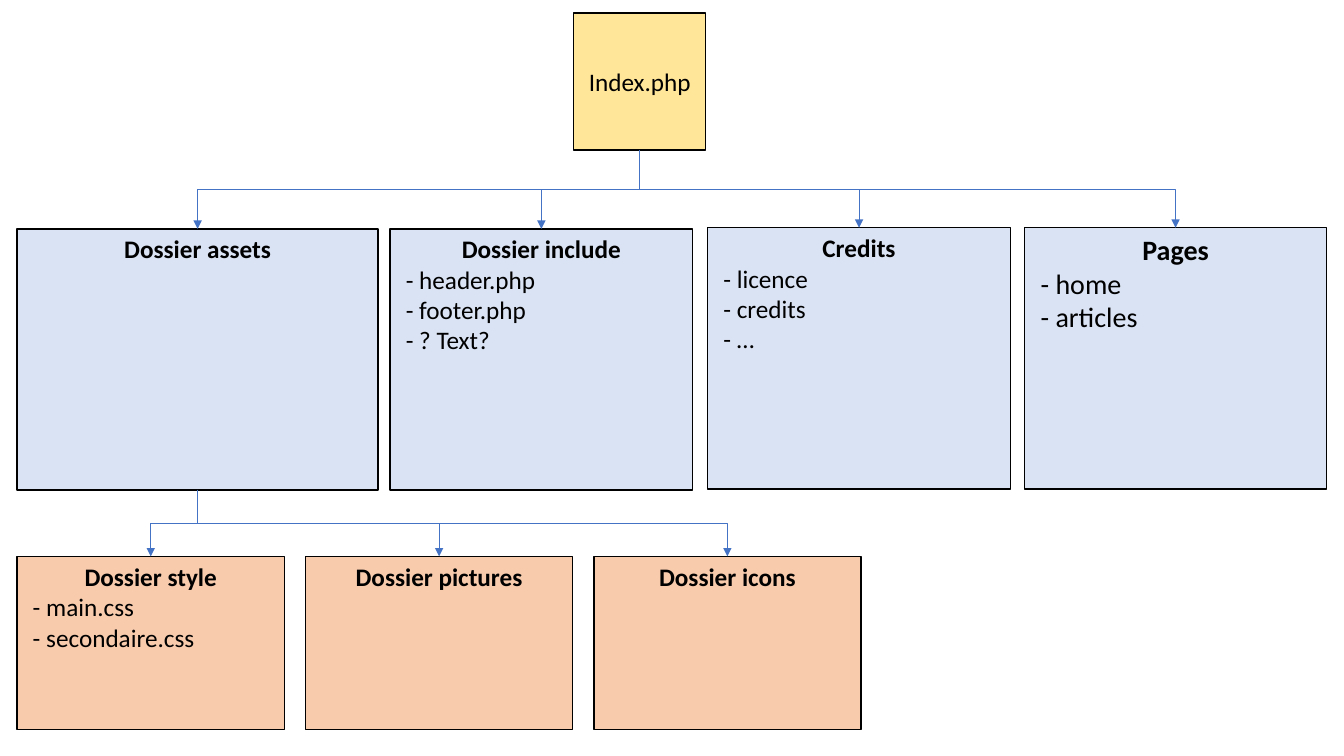
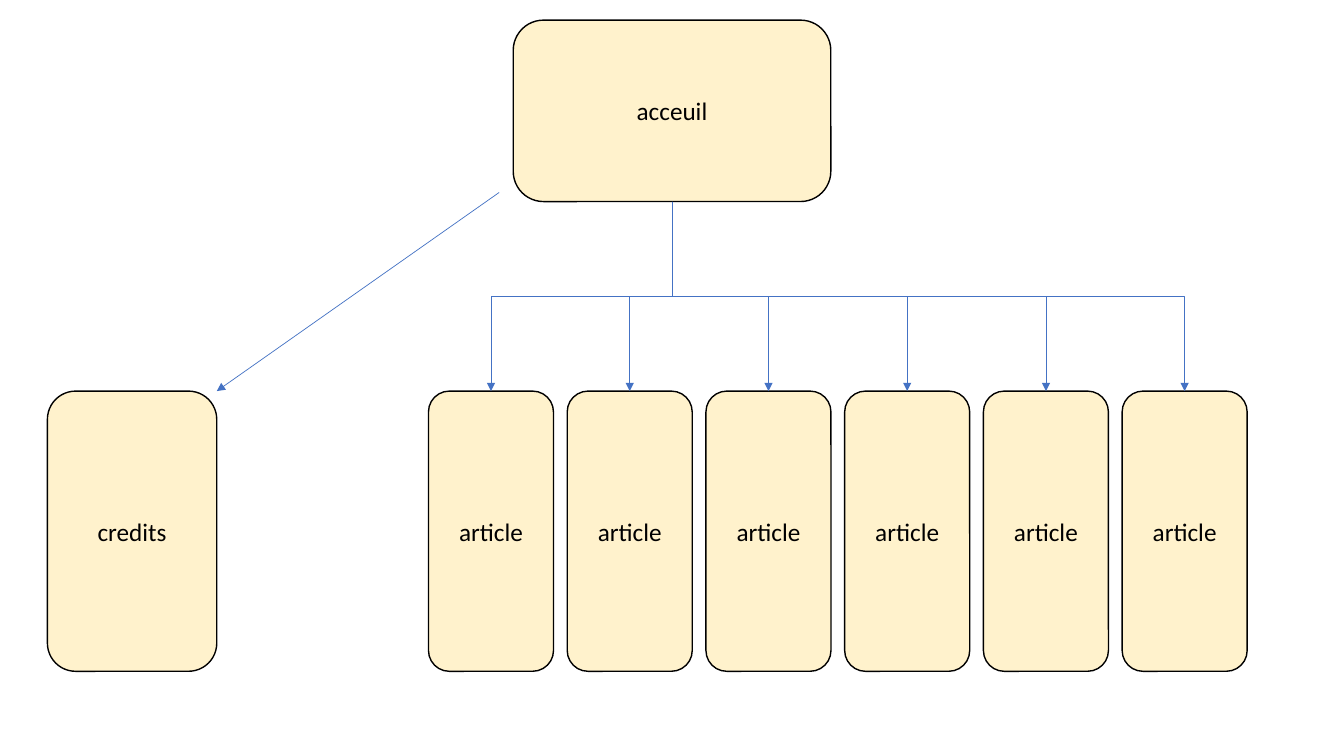
from dataclasses import dataclass
from lxml.etree import SubElement as Sub
from pptx import Presentation as Deck
from pptx.dml.color import RGBColor as RGB
from pptx.enum.shapes import MSO_CONNECTOR as Link, MSO_SHAPE as Form
from pptx.enum.text import MSO_ANCHOR as Anchor, PP_ALIGN as Align
from pptx.oxml.ns import qn
from pptx.util import Inches, Pt


@dataclass(frozen=True)
class Theme:
    font: str = "Calibri"
    size: int = 18
    large: int = 20
    ink: str = "000000"
    link: str = "4472C4"
    root: str = "FFE699"
    folder: str = "DAE3F3"
    sub: str = "F8CBAD"
    page: str = "FFF2CC"
    edge: float = 1
    wire: float = 0.5


class Chart:
    """Draws tree charts of boxes and arrows in one style."""

    def __init__(self, theme):
        self.theme = theme
        self.deck = Deck()
        self.deck.slide_width = Inches(13.33)
        self.deck.slide_height = Inches(7.5)

    def start(self):
        self.slide = self.deck.slides.add_slide(self.deck.slide_layouts[6])

    def box(self, form, area, fill):
        shape = self.slide.shapes.add_shape(form, *map(Inches, area))
        shape.shadow.inherit = False
        shape.fill.solid()
        shape.fill.fore_color.rgb = RGB.from_string(fill)
        shape.line.color.rgb = RGB.from_string(self.theme.ink)
        shape.line.width = Pt(self.theme.edge)
        return shape

    def label(self, para, text, align, size, bold=False):
        para.text = text
        para.alignment = align
        font = para.font
        font.name = self.theme.font
        font.size = Pt(size)
        font.bold = bold
        font.color.rgb = RGB.from_string(self.theme.ink)

    def node(self, form, area, fill, text):
        shape = self.box(form, area, fill)
        frame = shape.text_frame
        frame.vertical_anchor = Anchor.MIDDLE
        self.label(frame.paragraphs[0], text, Align.CENTER, self.theme.size)
        return shape

    def folder(self, area, fill, name, files=(), size=None):
        size = size or self.theme.size
        shape = self.box(Form.RECTANGLE, area, fill)
        frame = shape.text_frame
        frame.vertical_anchor = Anchor.TOP
        self.label(frame.paragraphs[0], name, Align.CENTER, size, True)
        for file in files:
            self.label(frame.add_paragraph(), f" - {file}", Align.LEFT, size)
        return shape

    def arrow(self, kind, start, end):
        line = self.slide.shapes.add_connector(kind, *start, *end)
        line.line.color.rgb = RGB.from_string(self.theme.link)
        line.line.width = Pt(self.theme.wire)
        props = line.element.spPr
        Sub(props.find(qn("a:ln")), qn("a:tailEnd"), type="triangle")
        Sub(props, qn("a:effectLst"))
        return line

    def branch(self, top, kids):
        x, y = top.left + top.width // 2, top.top + top.height
        for kid in kids:
            end = kid.left + kid.width // 2
            line = self.arrow(Link.ELBOW, (x, y), (end, kid.top))
            line.begin_connect(top, 2)
            line.end_connect(kid, 0)
            wide, high = kid.top - y, abs(end - x)
            line.left = (x + end - wide) // 2
            line.top = (y + kid.top - high) // 2
            line.width, line.height = wide, high
            frame = line.element.spPr.find(qn("a:xfrm"))
            right = end > x
            frame.set("rot", str((270 if right else 90) * 60000))
            frame.set("flipH", "1" if right else "0")


look = Theme()
chart = Chart(look)

chart.start()
index = chart.node(Form.RECTANGLE, (5.69, 0.13, 1.31, 1.36), look.root, "Index.php")
main = [
    chart.folder((x, y, wide, 2.59), look.folder, name, files, size)
    for x, y, wide, name, files, size in (
        (0.17, 2.27, 3.58, "Dossier assets", (), look.size),
        (3.87, 2.27, 3, "Dossier include",
         ("header.php", "footer.php", "? Text?"), look.size),
        (7.02, 2.26, 3, "Credits", ("licence", "credits", "…"), look.size),
        (10.16, 2.26, 3, "Pages", ("home", "articles"), look.large),
    )
]
parts = (
    ("Dossier style", ("main.css", "secondaire.css")),
    ("Dossier pictures", ()),
    ("Dossier icons", ()),
)
subs = [
    chart.folder((0.17 + 2.86 * n, 5.52, 2.65, 1.72), look.sub, name, files)
    for n, (name, files) in enumerate(parts)
]
chart.branch(index, main)
chart.branch(main[0], subs)

chart.start()
curve = Form.ROUNDED_RECTANGLE
home = chart.node(curve, (5.09, 0.2, 3.15, 1.8), look.page, "acceuil")
chart.node(curve, (0.47, 3.88, 1.68, 2.78), look.page, "credits")
count, first, last = 6, 4.25, 11.13
step = (last - first) / (count - 1)
items = [
    chart.node(curve, (first + step * n, 3.88, 1.24, 2.78), look.page, "article")
    for n in range(count)
]
chart.arrow(Link.STRAIGHT, (Inches(4.95), Inches(1.91)), (Inches(2.15), Inches(3.88)))
chart.branch(home, items)

chart.deck.save("out.pptx")
